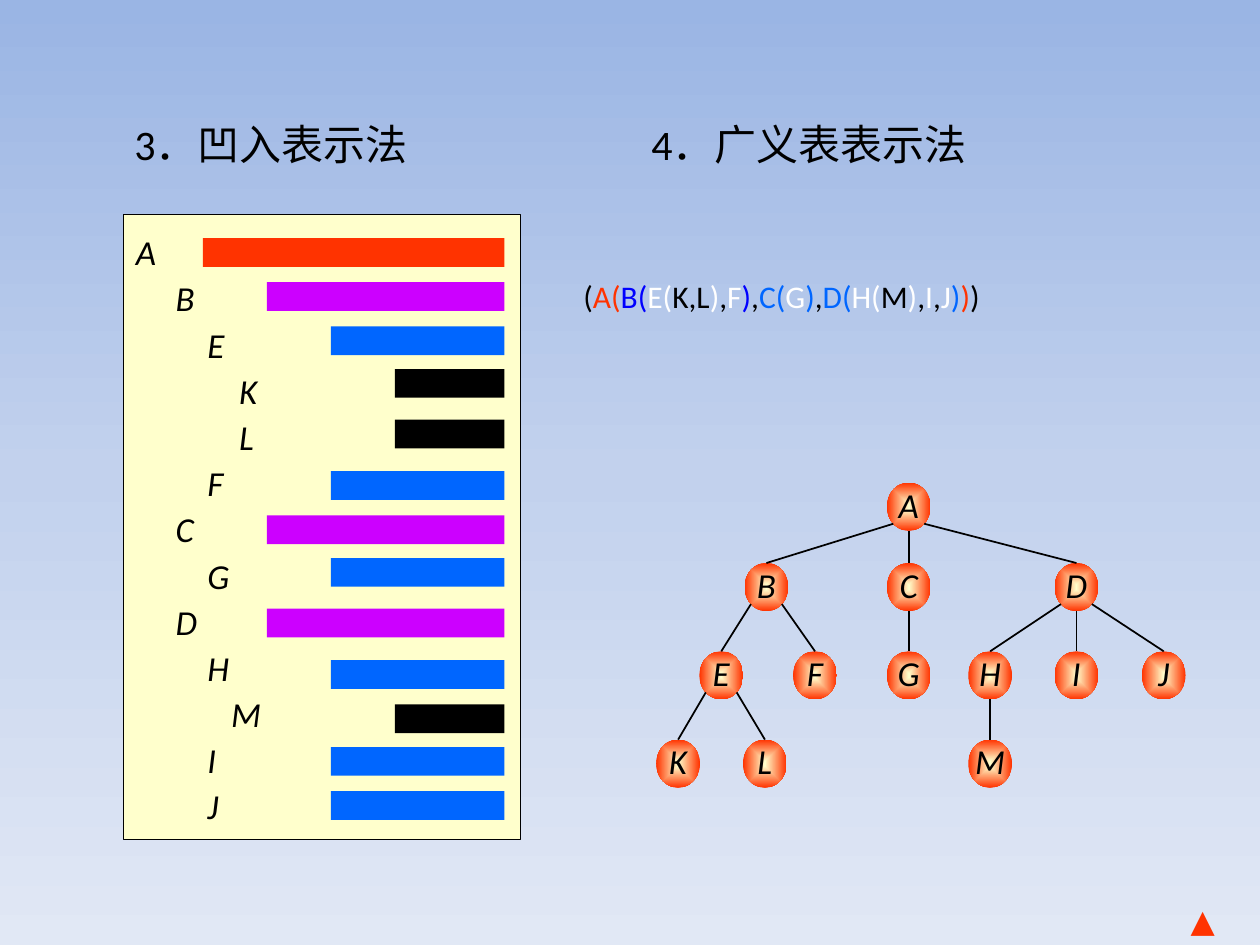
from dataclasses import dataclass
from typing import Optional

from lxml.etree import SubElement
from pptx import Presentation
from pptx.dml.color import RGBColor
from pptx.enum.shapes import MSO_CONNECTOR, MSO_SHAPE
from pptx.enum.text import MSO_ANCHOR, MSO_AUTO_SIZE, PP_ALIGN
from pptx.oxml import parse_xml
from pptx.oxml.ns import nsdecls, qn
from pptx.util import Cm, Pt

COLORS = {
    "black": "000000", "white": "FFFFFF", "red": "FF3300", "purple": "CC00FF",
    "blue": "0066FF", "navy": "0000FF", "cream": "FFFFCC",
    "sky_top": "9AB5E4", "sky_mid": "C2D1ED", "sky_low": "E1E8F5",
}
LEVEL_COLORS = ["red", "purple", "blue", "black"]
LEVEL_INDENTS = [0, 0.8, 1.44, 2.08]
BAR_LEFT, BAR_STEP, BAR_RIGHT, BAR_H = 4.09, 1.29, 10.17, 0.58
NODE_W, NODE_H = 0.88, 0.97
NODE_TOPS = [9.73, 11.35, 13.13, 14.91]
DIAGONAL = 0.354  # offset of a 45-degree point on an ellipse, as a share of its size


@dataclass
class Row:
    name: str
    level: int
    top: float
    indent: Optional[float] = None


@dataclass
class Node:
    name: str
    level: int
    x: float
    parent: str = ""


ROWS = [
    Row("A", 0, 4.8), Row("B", 1, 5.69), Row("E", 2, 6.58), Row("K", 3, 7.44),
    Row("L", 3, 8.46), Row("F", 2, 9.5), Row("C", 1, 10.39), Row("G", 2, 11.25),
    Row("D", 1, 12.27), Row("H", 2, 13.31), Row("M", 3, 14.2, 1.92),
    Row("I", 2, 15.06), Row("J", 2, 15.95),
]
NODES = [
    Node("A", 0, 18.32),
    Node("B", 1, 15.45, "A"), Node("C", 1, 18.32, "A"), Node("D", 1, 21.7, "A"),
    Node("E", 2, 14.54, "B"), Node("F", 2, 16.43, "B"), Node("G", 2, 18.32, "C"),
    Node("H", 2, 19.96, "D"), Node("I", 2, 21.7, "D"), Node("J", 2, 23.46, "D"),
    Node("K", 3, 13.67, "E"), Node("L", 3, 15.42, "E"), Node("M", 3, 19.96, "H"),
]
FORMULA = [
    ("(", "black"), ("A(", "red"), ("B(", "navy"), ("E(", "white"), ("K,L", "black"),
    (")", "white"), (",", "black"), ("F", "white"), (")", "navy"), (",", "black"),
    ("C(", "blue"), ("G", "white"), (")", "blue"), (",", "black"), ("D(", "blue"),
    ("H(", "white"), ("M", "black"), (")", "white"), (",", "black"), ("I", "white"),
    (",", "black"), ("J", "white"), (")", "blue"), (")", "red"), (")", "black"),
]


def rgb(color: str) -> RGBColor:
    return RGBColor.from_string(COLORS[color])


def add_run(p, text: str, size: float, color: str = "black", italic: bool = False) -> None:
    r = p.add_run()
    r.text = text
    r.font.name = "Calibri"
    r.font.size = Pt(size)
    r.font.italic = italic
    r.font.color.rgb = rgb(color)


def set_gradient(props, stops: list, direction: str) -> None:
    """Swap the solid fill in props for a gradient."""
    grad = parse_xml(f'<a:gradFill {nsdecls("a")} rotWithShape="1"><a:gsLst/>{direction}</a:gradFill>')
    for pos, color in stops:
        gs = SubElement(grad[0], qn("a:gs"), pos=str(pos * 1000))
        SubElement(gs, qn("a:srgbClr"), val=COLORS[color])
    props.replace(props.find(qn("a:solidFill")), grad)


def add_filled(shapes, kind, x: float, y: float, w: float, h: float, color: str):
    sp = shapes.add_shape(kind, Cm(x), Cm(y), Cm(w), Cm(h))
    sp.shadow.inherit = False
    sp.fill.solid()
    sp.fill.fore_color.rgb = rgb(color)
    sp.line.fill.background()
    return sp


def add_text(s, x: float, y: float, w: float, h: float, runs: list, size: float,
             spacing: float = 1.0) -> None:
    tf = s.shapes.add_textbox(Cm(x), Cm(y), Cm(w), Cm(h)).text_frame
    tf.word_wrap = False
    tf.auto_size = MSO_AUTO_SIZE.SHAPE_TO_FIT_TEXT
    p = tf.paragraphs[0]
    p.line_spacing = spacing
    for text, color in runs:
        add_run(p, text, size, color)


def add_panel(shapes) -> None:
    sp = add_filled(shapes, MSO_SHAPE.RECTANGLE, 2.49, 4.32, 8, 12.6, "cream")
    sp.line.color.rgb = rgb("black")
    sp.line.width = Pt(0.75)
    tf = sp.text_frame
    tf.word_wrap = True
    tf.vertical_anchor = MSO_ANCHOR.MIDDLE
    for i, row in enumerate(ROWS):
        p = tf.paragraphs[0] if i == 0 else tf.add_paragraph()
        p.alignment = PP_ALIGN.LEFT
        p.line_spacing = 1.1
        indent = LEVEL_INDENTS[row.level] if row.indent is None else row.indent
        p._p.get_or_add_pPr().set("marL", str(Cm(indent)))
        add_run(p, row.name, 20, italic=True)


def add_bar(shapes, row: Row) -> None:
    left = BAR_LEFT + BAR_STEP * row.level
    add_filled(shapes, MSO_SHAPE.RECTANGLE, left, row.top, BAR_RIGHT - left, BAR_H,
               LEVEL_COLORS[row.level])


def add_node(shapes, node: Node) -> None:
    sp = add_filled(shapes, MSO_SHAPE.OVAL, node.x - NODE_W / 2, NODE_TOPS[node.level],
                    NODE_W, NODE_H, "red")
    set_gradient(sp._element.spPr, [(0, "cream"), (100, "red")],
                 '<a:path path="shape"><a:fillToRect l="50000" t="50000" r="50000" b="50000"/></a:path>')
    tf = sp.text_frame
    tf.word_wrap = False
    tf.vertical_anchor = MSO_ANCHOR.MIDDLE
    p = tf.paragraphs[0]
    p.alignment = PP_ALIGN.CENTER
    p.line_spacing = 0.9
    add_run(p, node.name, 20, italic=True)


def add_edge(shapes, parent: Node, child: Node) -> None:
    """Join the bottom or lower diagonal of the parent to the top of the child."""
    side = (child.x > parent.x) - (child.x < parent.x)
    x = parent.x + side * DIAGONAL * NODE_W
    y = NODE_TOPS[parent.level] + NODE_H * (0.5 + (DIAGONAL if side else 0.5))
    line = shapes.add_connector(MSO_CONNECTOR.STRAIGHT, Cm(x), Cm(y),
                                Cm(child.x), Cm(NODE_TOPS[child.level]))
    line.line.color.rgb = rgb("black")
    line.line.width = Pt(1)
    SubElement(line._element.spPr, qn("a:effectLst"))


def main() -> None:
    prs = Presentation()
    prs.slide_width, prs.slide_height = Cm(25.4), Cm(19.05)
    s = prs.slides.add_slide(prs.slide_layouts[6])

    # Background
    s.background.fill.solid()
    set_gradient(s._element.xpath(".//p:bgPr")[0],
                 [(0, "sky_top"), (50, "sky_mid"), (100, "sky_low")],
                 '<a:lin ang="5400000" scaled="0"/>')

    # Headings
    add_text(s, 2.46, 2.26, 6.22, 1.27, [("3．凹入表示法", "black")], 24)
    add_text(s, 12.88, 2.26, 7.06, 1.27, [("4．广义表表示法", "black")], 24)

    # Indented list with bars
    chart = s.shapes.add_group_shape().shapes
    add_panel(chart)
    for row in ROWS:
        add_bar(chart, row)

    # Tree
    tree = s.shapes.add_group_shape().shapes
    by_name = {node.name: node for node in NODES}
    for node in NODES:
        add_node(tree, node)
    for node in NODES[1:]:
        add_edge(tree, by_name[node.parent], node)

    # Generalized list and corner mark
    add_text(s, 11.51, 5.46, 13.51, 1.27, FORMULA, 18)
    add_text(s, 23.75, 18.36, 1.37, 0.76, [("▲", "red")], 18, 0.5)

    prs.save("out.pptx")


if __name__ == "__main__":
    main()
